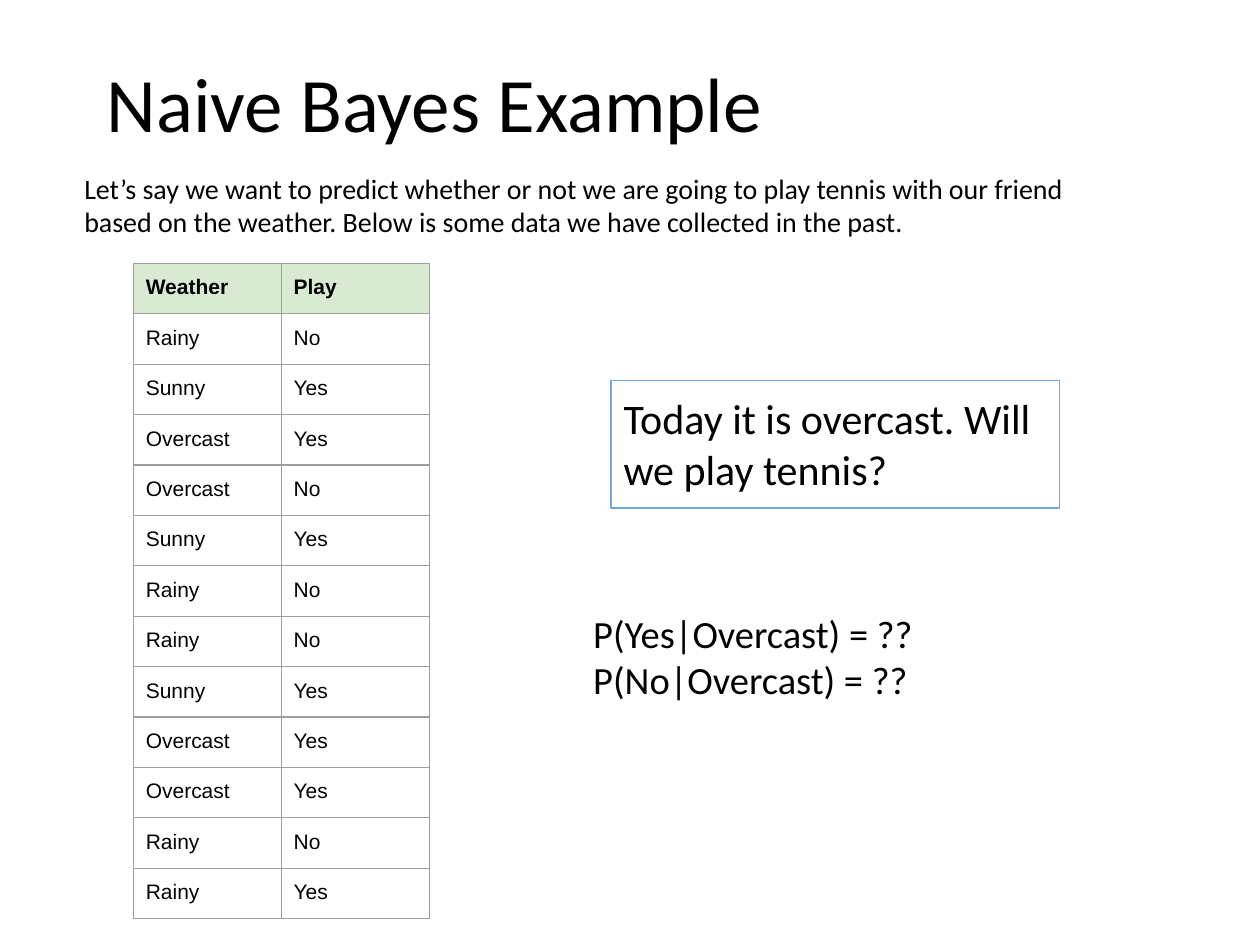
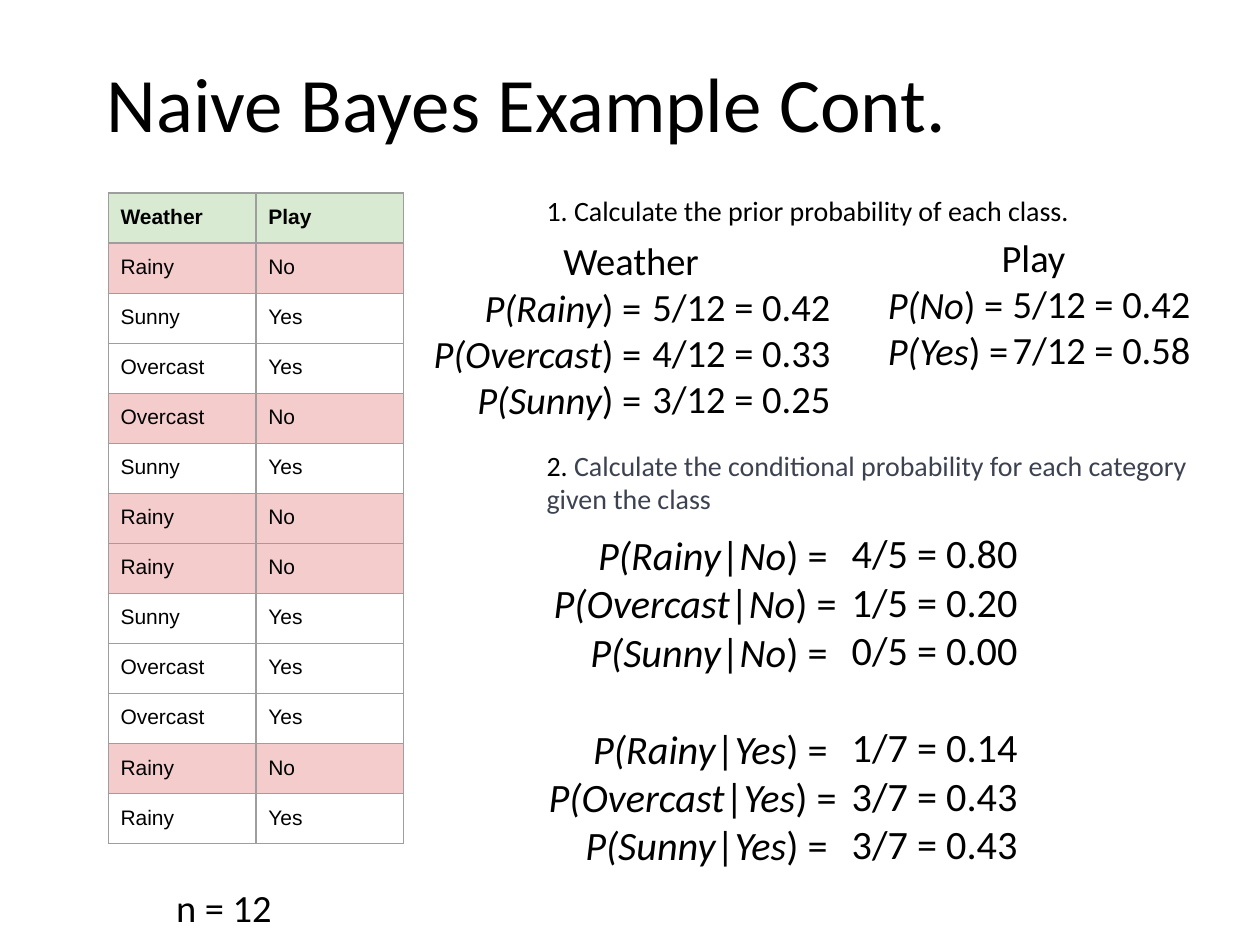
from lxml import etree
from pptx import Presentation
from pptx.dml.color import RGBColor
from pptx.enum.shapes import MSO_SHAPE
from pptx.enum.text import MSO_ANCHOR, MSO_AUTO_SIZE as FIT, PP_ALIGN as ALIGN
from pptx.oxml import parse_xml
from pptx.oxml.ns import nsdecls
from pptx.util import Cm, Pt

COLORS = {
    "ink": "000000",
    "slate": "3D4251",
    "header": "D9EAD3",
    "no": "F4CCCC",
    "grid": "9E9E9E",
    "frame": "6FA8DC",
}
INSET = Cm(0.25)
LINE_22 = 0.95  # height in cm of one 22 pt line
COL_W = 2.98
DATA = [
    ("Rainy", "No"), ("Sunny", "Yes"), ("Overcast", "Yes"), ("Overcast", "No"),
    ("Sunny", "Yes"), ("Rainy", "No"), ("Rainy", "No"), ("Sunny", "Yes"),
    ("Overcast", "Yes"), ("Overcast", "Yes"), ("Rainy", "No"), ("Rainy", "Yes"),
]


def rgb(name):
    return RGBColor.from_string(COLORS[name])


def math(text):
    """Runs of a formula; the parts between asterisks are italic."""
    return [(part, {"italic": i % 2 == 1})
            for i, part in enumerate(text.split("*")) if part]


class Deck:
    def __init__(self):
        self.prs = Presentation()
        self.prs.slide_width, self.prs.slide_height = Cm(25.4), Cm(19.05)
        self.s = None

    def slide(self, title):
        self.s = self.prs.slides.add_slide(self.prs.slide_layouts[6])
        sp = self.text((1.9, 0, 21.6, 4.09), [title], 44, fit=FIT.NONE)
        sp.text_frame.vertical_anchor = MSO_ANCHOR.MIDDLE

    def run(self, p, text, size, font="Calibri", color="ink", **fmt):
        r = p.add_run()
        r.text = text
        for key, value in {"name": font, "size": Pt(size), **fmt}.items():
            setattr(r.font, key, value)
        r.font.color.rgb = rgb(color)

    def fill_text(self, sp, paras, size, align=ALIGN.LEFT, fit=FIT.SHAPE_TO_FIT_TEXT):
        tf = sp.text_frame
        frame = {"word_wrap": True, "auto_size": fit, "vertical_anchor": MSO_ANCHOR.TOP}
        frame.update({f"margin_{side}": INSET for side in ("left", "top", "right", "bottom")})
        for key, value in frame.items():
            setattr(tf, key, value)
        for i, runs in enumerate(paras):
            p = tf.add_paragraph() if i else tf.paragraphs[0]
            p.alignment = align
            for text, fmt in [(runs, {})] if isinstance(runs, str) else runs:
                self.run(p, text, size, **fmt)
        return sp

    def text(self, at, paras, size, **layout):
        sp = self.s.shapes.add_textbox(*map(Cm, at))
        return self.fill_text(sp, paras, size, **layout)

    def framed_text(self, at, paras, size):
        sp = self.s.shapes.add_shape(MSO_SHAPE.RECTANGLE, *map(Cm, at))
        sp.shadow.inherit = False
        sp.fill.background()
        sp.line.color.rgb = rgb("frame")
        sp.line.width = Pt(0.75)
        self.fill_text(sp, paras, size)

    def borders(self, cell):
        tc_pr = cell._tc.get_or_add_tcPr()
        for i, side in enumerate("LRTB"):
            ln = parse_xml(f'<a:ln{side} {nsdecls("a")} w="9525"><a:solidFill/></a:ln{side}>')
            etree.SubElement(ln[0], ln[0].tag.replace("solidFill", "srgbClr"),
                             val=COLORS["grid"])
            tc_pr.insert(i, ln)

    def weather_table(self, left, top, row_h, mark_no=False):
        rows = [("Weather", "Play")] + DATA
        table = self.s.shapes.add_table(
            len(rows), 2, Cm(left), Cm(top), Cm(2 * COL_W), Cm(row_h * len(rows))).table
        table.horz_banding = False
        for col in table.columns:
            col.width = Cm(COL_W)
        for i, values in enumerate(rows):
            table.rows[i].height = Cm(row_h)
            fill = "header" if i == 0 else "no" if mark_no and values[1] == "No" else None
            for j, value in enumerate(values):
                cell = table.cell(i, j)
                for side in ("left", "top", "right", "bottom"):
                    setattr(cell, f"margin_{side}", INSET)
                self.run(cell.text_frame.paragraphs[0], value, 12, font="Arial", bold=i == 0)
                if fill:
                    cell.fill.solid()
                    cell.fill.fore_color.rgb = rgb(fill)
                else:
                    cell.fill.background()
                self.borders(cell)


def example(d):
    d.slide("Naive Bayes Example")
    d.text((1.45, 3.2, 20.78, 1.88), [
        "Let’s say we want to predict whether or not we are going to play tennis with "
        "our friend based on the weather. Below is some data we have collected in the past."], 16)
    d.weather_table(2.69, 5.31, 1.016)

    # Question
    d.framed_text((12.32, 7.67, 9.04, 2.57), ["Today it is overcast. Will we play tennis?"], 24)
    d.text((11.71, 12.04, 10.24, 3.33),
           [f"P({play}|Overcast) = ??" for play in ("Yes", "No")], 22)


def example_cont(d):
    d.slide("Naive Bayes Example Cont.")
    d.weather_table(2.18, 3.89, 0.98, mark_no=True)
    d.text((3.3, 17.58, 3.45, 1.45), ["n = 12"], 22)

    # Step headings
    d.text((10.77, 3.66, 12.93, 1.19),
           ["1. Calculate the prior probability of each class."], 16)
    d.text((10.77, 8.79, 13.69, 1.88), [[
        ("2. ", {}),
        ("Calculate the conditional probability for each category given the class",
         {"color": "slate"})]], 16)

    # Priors: names and values stand in separate boxes
    weather = ("Rainy", "Overcast", "Sunny")
    sp = d.text((8.46, 4.52, 8.53, 4.27),
                ["Weather", "5/12 = 0.42", "4/12 = 0.33", "3/12 = 0.25"], 22, align=ALIGN.RIGHT)
    sp.text_frame.paragraphs[0].alignment = ALIGN.CENTER
    d.text((8.18, 4.52 + LINE_22, 5, 3.32),
           [math(f"*P({w}*) =") for w in weather], 22, align=ALIGN.RIGHT)
    sp = d.text((17.42, 4.47, 6.83, 4.27),
                ["Play", "5/12 = 0.42", "7/12 = 0.58"], 22, align=ALIGN.RIGHT)
    sp.text_frame.paragraphs[0].alignment = ALIGN.CENTER
    d.text((17.65, 4.47 + LINE_22, 6.83, 3.32),
           [math(f"*P({play}*) =") for play in ("No", "Yes")], 22)

    # Conditionals, with one line of space between the classes
    names = d.text((10.8, 10.44, 6.32, 7.39),
                   [math(f"*P({w}*|*{play}*) = ") for play in ("No", "Yes") for w in weather],
                   23, align=ALIGN.RIGHT)
    values = d.text((16.92, 10.41, 3.91, 7.39),
                    ["4/5 = 0.80", "1/5 = 0.20", "0/5 = 0.00",
                     "1/7 = 0.14", "3/7 = 0.43", "3/7 = 0.43"], 23)
    for sp in (names, values):
        sp.text_frame.paragraphs[3].space_before = Pt(28)


def main():
    d = Deck()
    example(d)
    example_cont(d)
    d.prs.save("out.pptx")


if __name__ == "__main__":
    main()
